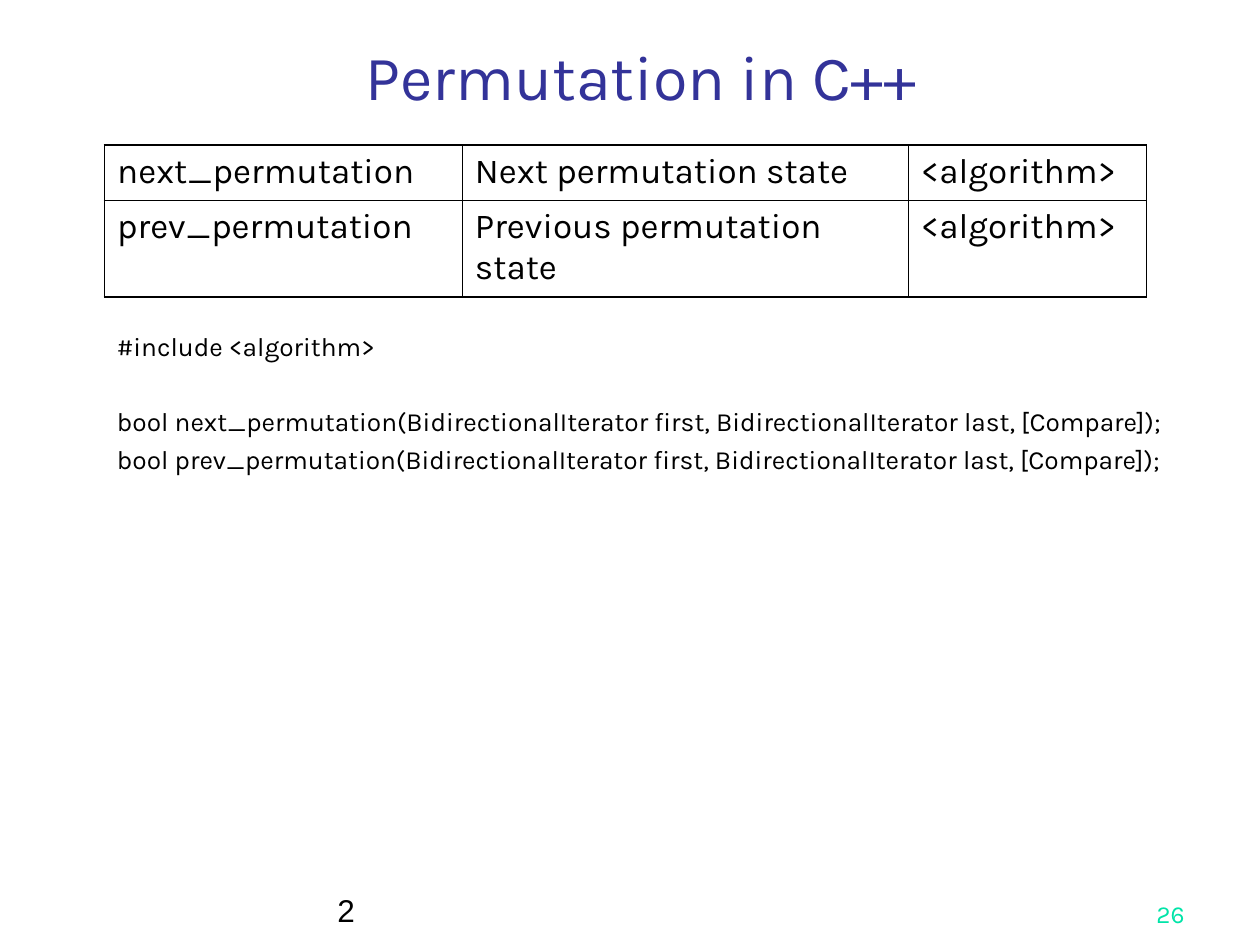
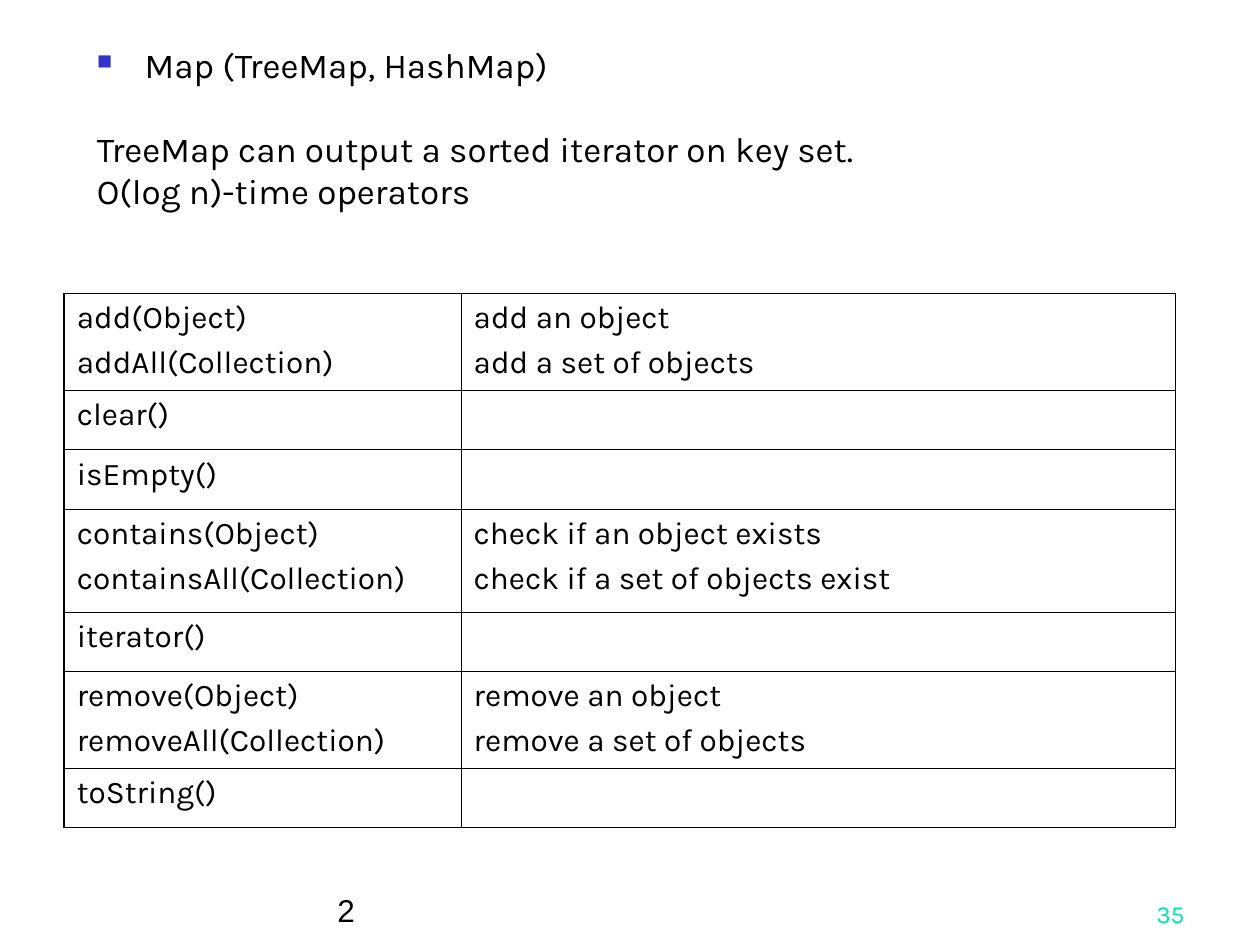
from lxml.etree import SubElement
from pptx import Presentation
from pptx.dml.color import RGBColor
from pptx.enum.text import MSO_ANCHOR, PP_ALIGN
from pptx.oxml import parse_xml
from pptx.oxml.ns import nsdecls, qn
from pptx.util import Inches, Pt

BLACK = RGBColor(0x00, 0x00, 0x00)
TITLE_BLUE = RGBColor(0x33, 0x33, 0x99)
BULLET_BLUE = RGBColor(0x33, 0x33, 0xCC)
PAGE_GREEN = RGBColor(0x00, 0xE4, 0xA8)
BODY_FONT, FOOTER_FONT = "Karla", "Arial"
OUTER_LINE, INNER_LINE = Pt(1.08), Pt(0.45)
HANGING = Inches(0.38)

# Content: a body line is (text, has bullet, follows a wide gap)
SLIDES = [
    {
        "title": "Permutation in C++",
        "page": "26",
        "body": {
            "box": (0.83, 2.57, 8.51, 2.36),
            "size": 15, "line_spacing": 1.0, "gap": 3.7, "wide_gap": 25,
            "lines": [
                ("#include <algorithm>", False, False),
                ("bool next_permutation(BidirectionalIterator first, "
                 "BidirectionalIterator last, [Compare]);", False, True),
                ("bool prev_permutation(BidirectionalIterator first, "
                 "BidirectionalIterator last, [Compare]);", False, False),
            ],
        },
        "table": {
            "corner": (0.83, 1.15), "size": 20, "gap": 5,
            "columns": [2.84, 3.54, 1.89],
            "row_heights": [0.44, 0.77],
            "rows": [
                [["next_permutation"], ["Next permutation state"], ["<algorithm>"]],
                [["prev_permutation"], ["Previous permutation state"], ["<algorithm>"]],
            ],
        },
    },
    {
        "page": "35",
        "body": {
            "box": (0.67, 0.36, 8.51, 1.81),
            "size": 20, "line_spacing": 0.8, "gap": 5, "wide_gap": 28.7,
            "lines": [
                ("Map (TreeMap, HashMap)", True, False),
                ("TreeMap can output a sorted iterator on key set.", False, True),
                ("O(log n)-time operators", False, False),
            ],
        },
        "table": {
            "corner": (0.51, 2.33), "size": 18, "gap": 4.5,
            "columns": [3.15, 5.67],
            "row_heights": [0.77, 0.47, 0.47, 0.82, 0.47, 0.77, 0.47],
            "rows": [
                [["add(Object)", "addAll(Collection)"],
                 ["add an object", "add a set of objects"]],
                [["clear()"], []],
                [["isEmpty()"], []],
                [["contains(Object)", "containsAll(Collection)"],
                 ["check if an object exists", "check if a set of objects exist"]],
                [["iterator()"], []],
                [["remove(Object)", "removeAll(Collection)"],
                 ["remove an object", "remove a set of objects"]],
                [["toString()"], []],
            ],
        },
    },
]


# Text helpers
def add_run(paragraph, text, size, color=BLACK, font=BODY_FONT):
    run = paragraph.add_run()
    run.text = text
    run.font.size = Pt(size)
    run.font.name = font
    run.font.color.rgb = color


def next_paragraph(frame, index):
    return frame.add_paragraph() if index else frame.paragraphs[0]


def add_text_frame(slide, box, anchor=MSO_ANCHOR.TOP):
    frame = slide.shapes.add_textbox(*map(Inches, box)).text_frame
    frame.word_wrap = True
    frame.vertical_anchor = anchor
    return frame


def add_label(slide, box, text, size, color, font=BODY_FONT, align=PP_ALIGN.LEFT):
    paragraph = add_text_frame(slide, box, MSO_ANCHOR.BOTTOM).paragraphs[0]
    paragraph.alignment = align
    add_run(paragraph, text, size, color, font)


def set_hanging_indent(paragraph, bullet):
    properties = paragraph._p.get_or_add_pPr()
    properties.set("marL", str(HANGING))
    properties.set("indent", str(-HANGING))
    if bullet:
        color = SubElement(properties, qn("a:buClr"))
        SubElement(color, qn("a:srgbClr"), val=str(BULLET_BLUE))
        SubElement(properties, qn("a:buSzPct"), val="60000")
        SubElement(properties, qn("a:buChar"), char="■")
    else:
        SubElement(properties, qn("a:buNone"))


def add_body(slide, body):
    frame = add_text_frame(slide, body["box"])
    for index, (text, bullet, wide) in enumerate(body["lines"]):
        paragraph = next_paragraph(frame, index)
        set_hanging_indent(paragraph, bullet)
        paragraph.line_spacing = body["line_spacing"]
        if index:
            paragraph.space_before = Pt(body["wide_gap" if wide else "gap"])
        add_run(paragraph, text, body["size"])


# Table helpers
def set_borders(cell, outer_sides):
    properties = cell._tc.get_or_add_tcPr()
    for position, side in enumerate("LRTB"):
        width = OUTER_LINE if side in outer_sides else INNER_LINE
        properties.insert(position, parse_xml(
            f'<a:ln{side} {nsdecls("a")} w="{width}"><a:solidFill>'
            f'<a:srgbClr val="{BLACK}"/></a:solidFill></a:ln{side}>'))


def add_grid(slide, content):
    columns, heights = content["columns"], content["row_heights"]
    left, top = content["corner"]
    table = slide.shapes.add_table(
        len(heights), len(columns), Inches(left), Inches(top),
        Inches(sum(columns)), Inches(sum(heights))).table
    table.first_row = table.horz_banding = False
    for column, width in zip(table.columns, columns):
        column.width = Inches(width)
    for row, height in zip(table.rows, heights):
        row.height = Inches(height)
    last_row, last_column = len(heights) - 1, len(columns) - 1
    for r, row in enumerate(content["rows"]):
        for c, lines in enumerate(row):
            cell = table.cell(r, c)
            cell.fill.background()
            edges = {"L": c == 0, "R": c == last_column, "T": r == 0, "B": r == last_row}
            set_borders(cell, [side for side, outer in edges.items() if outer])
            for index, text in enumerate(lines):
                paragraph = next_paragraph(cell.text_frame, index)
                if index:
                    paragraph.space_before = Pt(content["gap"])
                add_run(paragraph, text, content["size"])


def add_footer(slide, page):
    add_label(slide, (2.58, 6.92, 5.42, 0.5), "2", 18, BLACK, FOOTER_FONT)
    add_label(slide, (7.42, 6.92, 2.08, 0.5), page, 14, PAGE_GREEN, align=PP_ALIGN.RIGHT)


def main():
    presentation = Presentation()
    presentation.slide_width, presentation.slide_height = Inches(10), Inches(7.5)
    for content in SLIDES:
        slide = presentation.slides.add_slide(presentation.slide_layouts[6])
        if "title" in content:
            add_label(slide, (0.83, 0.21, 8.52, 0.74), content["title"], 36,
                      TITLE_BLUE, align=PP_ALIGN.CENTER)
        add_body(slide, content["body"])
        add_grid(slide, content["table"])
        add_footer(slide, content["page"])
    presentation.save("out.pptx")


if __name__ == "__main__":
    main()
